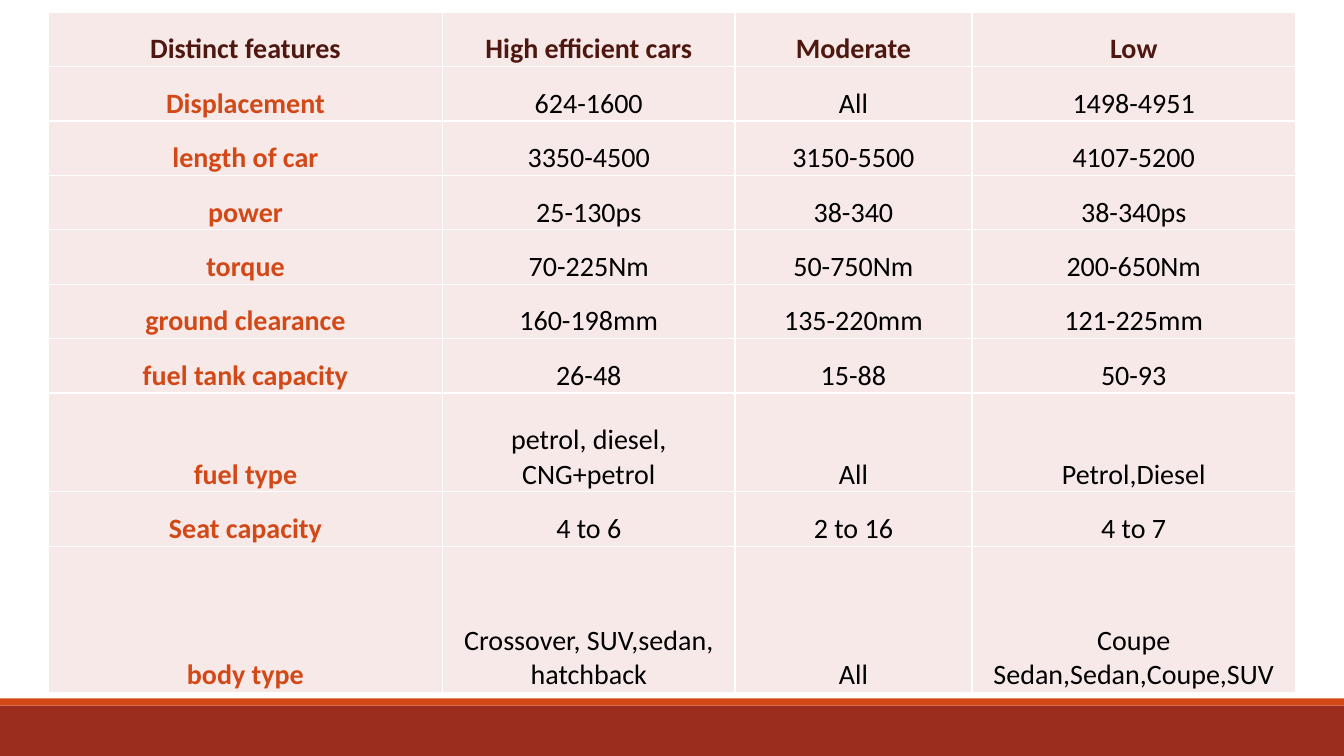
"""Build a slide comparing car features across three efficiency classes."""
from dataclasses import dataclass

from lxml.etree import SubElement
from pptx import Presentation
from pptx.dml.color import RGBColor
from pptx.enum.shapes import MSO_SHAPE
from pptx.enum.text import MSO_ANCHOR, PP_ALIGN
from pptx.oxml.ns import qn
from pptx.util import Inches, Pt

FEATURES = [
    ("Distinct features", "High efficient cars", "Moderate", "Low"),
    ("Displacement", "624-1600", "All", "1498-4951"),
    ("length of car", "3350-4500", "3150-5500", "4107-5200"),
    ("power", "25-130ps", "38-340", "38-340ps"),
    ("torque", "70-225Nm", "50-750Nm", "200-650Nm"),
    ("ground clearance", "160-198mm", "135-220mm", "121-225mm"),
    ("fuel tank capacity", "26-48", "15-88", "50-93"),
    ("fuel type", "petrol, diesel, CNG+petrol", "All", "Petrol,Diesel"),
    ("Seat capacity", "4 to 6", "2 to 16", "4 to 7"),
    ("body type", "Crossover, SUV,sedan, hatchback", "All",
     "Coupe Sedan,Sedan,Coupe,SUV"),
]
WIDTH, HEIGHT = 13.33, 7.5
TABLE_LEFT, TABLE_TOP = 0.48, 0.12
COLUMNS = (3.91, 2.9, 2.35, 3.21)
ROW = 0.54
TALL_ROWS = {"fuel type": 0.98, "body type": 1.45}
FOOTER_TOP, STRIPE = 7.0, 0.07
INSET = 0.01


@dataclass(frozen=True)
class Theme:
    """Colours, font and sizes."""
    footer: str = "9B2D1F"
    accent: str = "D34817"
    heading: str = "4E1710"
    body: str = "000000"
    cell: str = "F7E9E8"
    border: str = "FFFFFF"
    font: str = "Calibri"
    size: int = 20
    border_width: int = 1


THEME = Theme()


def add_band(s, top, height, color):
    """Add a full-width band."""
    sp = s.shapes.add_shape(MSO_SHAPE.RECTANGLE, 0, Inches(top),
                            Inches(WIDTH), Inches(height))
    sp.shadow.inherit = False
    sp.fill.solid()
    sp.fill.fore_color.rgb = RGBColor.from_string(color)
    sp.line.fill.background()


def add_borders(cell):
    """Draw all four edges of a cell."""
    tc_pr = cell._tc.get_or_add_tcPr()
    for edge in ("a:lnL", "a:lnR", "a:lnT", "a:lnB"):
        ln = SubElement(tc_pr, qn(edge), w=str(Pt(THEME.border_width)))
        fill = SubElement(ln, qn("a:solidFill"))
        SubElement(fill, qn("a:srgbClr"), val=THEME.border)


def style_cell(cell, text, color, bold):
    """Write and format one cell."""
    add_borders(cell)
    cell.fill.solid()
    cell.fill.fore_color.rgb = RGBColor.from_string(THEME.cell)
    cell.vertical_anchor = MSO_ANCHOR.BOTTOM
    cell.margin_left = cell.margin_right = cell.margin_top = Inches(INSET)
    cell.margin_bottom = 0
    cell.text = text
    p = cell.text_frame.paragraphs[0]
    p.alignment = PP_ALIGN.CENTER
    p.font.name = THEME.font
    p.font.size = Pt(THEME.size)
    p.font.bold = bold
    p.font.color.rgb = RGBColor.from_string(color)


def add_features(s):
    """Add the feature table."""
    heights = [TALL_ROWS.get(row[0], ROW) for row in FEATURES]
    table = s.shapes.add_table(
        len(FEATURES), len(COLUMNS), Inches(TABLE_LEFT), Inches(TABLE_TOP),
        Inches(sum(COLUMNS)), Inches(sum(heights))).table
    for column, width in zip(table.columns, COLUMNS):
        column.width = Inches(width)
    for i, (row, height) in enumerate(zip(FEATURES, heights)):
        table.rows[i].height = Inches(height)
        for j, text in enumerate(row):
            color = (THEME.heading if i == 0 else
                     THEME.accent if j == 0 else THEME.body)
            style_cell(table.cell(i, j), text, color, i == 0 or j == 0)


def main():
    """Build and save the slide."""
    prs = Presentation()
    prs.slide_width, prs.slide_height = Inches(WIDTH), Inches(HEIGHT)
    s = prs.slides.add_slide(prs.slide_layouts[6])
    add_band(s, FOOTER_TOP, HEIGHT - FOOTER_TOP, THEME.footer)
    add_band(s, FOOTER_TOP - STRIPE, STRIPE, THEME.accent)
    add_features(s)
    prs.save("out.pptx")


if __name__ == "__main__":
    main()
